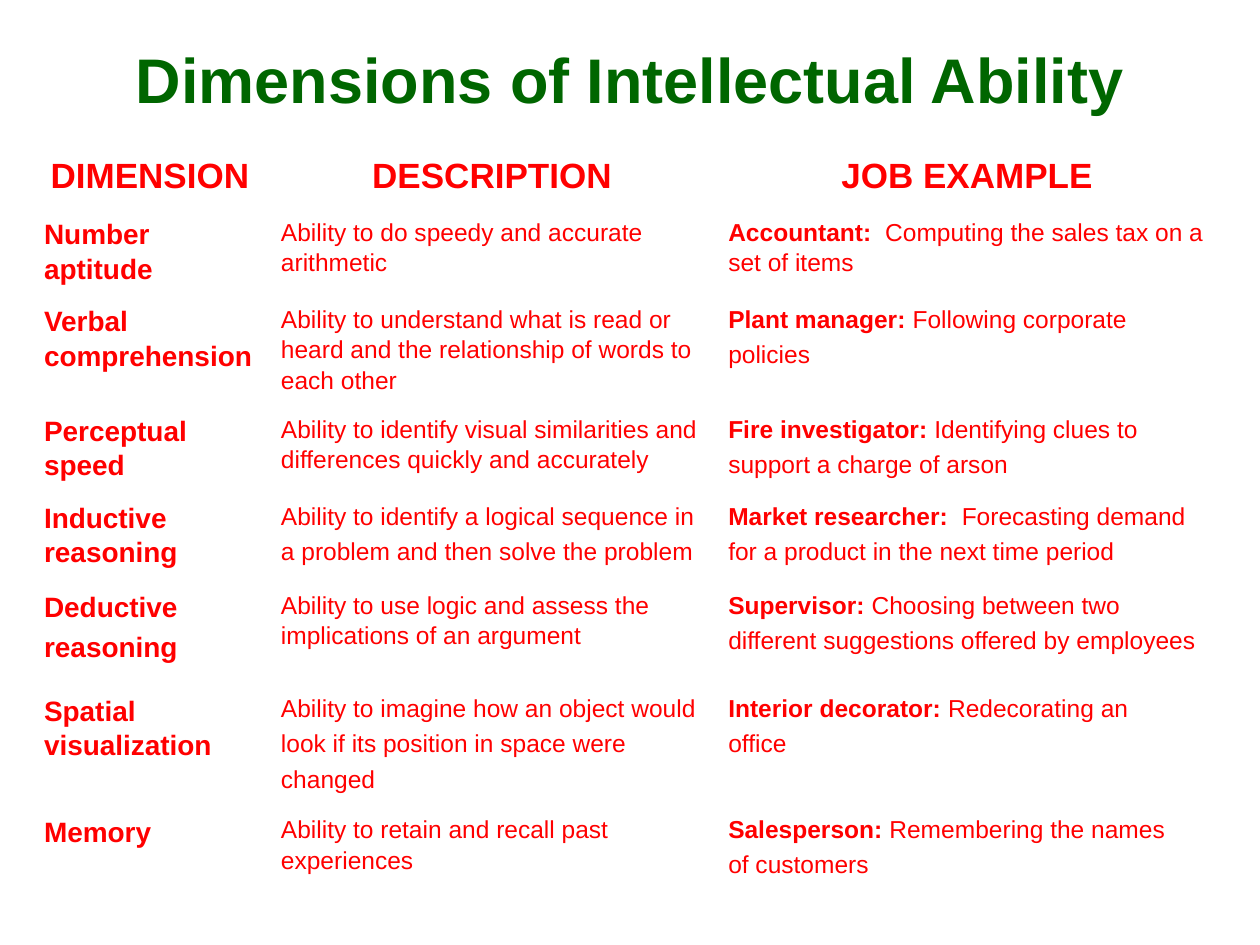
from dataclasses import dataclass
from lxml.etree import SubElement
from pptx import Presentation
from pptx.dml.color import RGBColor
from pptx.enum.shapes import MSO_CONNECTOR
from pptx.enum.text import MSO_ANCHOR, PP_ALIGN
from pptx.oxml.ns import qn
from pptx.slide import Slide
from pptx.util import Inches, Pt

HEADINGS = ["DIMENSION", "DESCRIPTION", "JOB EXAMPLE"]
ABILITIES = [
    ("Number aptitude",
     "Ability to do speedy and accurate arithmetic",
     "Accountant:  Computing the sales tax on a set of items"),
    ("Verbal comprehension",
     "Ability to understand what is read or heard and the relationship of words to each other",
     "Plant manager: Following corporate\npolicies"),
    ("Perceptual speed",
     "Ability to identify visual similarities and differences quickly and accurately",
     "Fire investigator: Identifying clues to\nsupport a charge of arson"),
    ("Inductive reasoning",
     "Ability to identify a logical sequence in\na problem and then solve the problem",
     "Market researcher:  Forecasting demand\nfor a product in the next time period"),
    ("Deductive\nreasoning",
     "Ability to use logic and assess the implications of an argument",
     "Supervisor: Choosing between two\ndifferent suggestions offered by employees"),
    ("Spatial visualization",
     "Ability to imagine how an object would\nlook if its position in space were\nchanged",
     "Interior decorator: Redecorating an\noffice"),
    ("Memory",
     "Ability to retain and recall past experiences",
     "Salesperson: Remembering the names\nof customers"),
]
COLUMN_WIDTHS = [1.88, 3.55, 3.99]
ROW_HEIGHTS = [0.51, 0.69, 0.87, 0.69, 0.71, 0.82, 0.96, 0.76]


def color(value):
    return RGBColor.from_string(value)


@dataclass
class AbilitySlide:
    """Holds the style and the slide that the elements go on."""
    slide: Slide
    font: str = "Arial"
    title_color: str = "006600"
    text_color: str = "FF0000"
    border_color: str = "FFFFFF"
    inner_border: float = 1
    outer_border: float = 2.25

    def format_run(self, run, size, bold, value):
        run.font.name = self.font
        run.font.size = Pt(size)
        run.font.bold = bold
        run.font.color.rgb = color(value)

    def title(self, text, left, top, width, height):
        shape = self.slide.shapes.title
        shape.left, shape.top = Inches(left), Inches(top)
        shape.width, shape.height = Inches(width), Inches(height)
        frame = shape.text_frame
        frame.text = text
        frame.vertical_anchor = MSO_ANCHOR.MIDDLE
        paragraph = frame.paragraphs[0]
        paragraph.alignment = PP_ALIGN.CENTER
        self.format_run(paragraph.runs[0], 36, True, self.title_color)

    def rule(self, start_x, start_y, end_x, end_y):
        connector = self.slide.shapes.add_connector(
            MSO_CONNECTOR.STRAIGHT, Inches(start_x), Inches(start_y),
            Inches(end_x), Inches(end_y))
        connector.line.color.rgb = color(self.border_color)
        connector.line.width = Pt(self.inner_border)
        properties = connector._element.spPr
        for end in ("a:headEnd", "a:tailEnd"):
            SubElement(properties.find(qn("a:ln")), qn(end), type="oval")
        SubElement(properties, qn("a:effectLst"))

    def borders(self, cell, outer_sides):
        properties = cell._tc.get_or_add_tcPr()
        for side in "LRTB":
            width = self.outer_border if side in outer_sides else self.inner_border
            line = SubElement(properties, qn(f"a:ln{side}"), w=str(Pt(width)))
            fill = SubElement(line, qn("a:solidFill"))
            SubElement(fill, qn("a:srgbClr"), val=self.border_color)

    def cell(self, cell, text, size, bold, alignment, outer_sides):
        self.borders(cell, outer_sides)
        cell.fill.background()
        cell.text_frame.text = text
        for index, paragraph in enumerate(cell.text_frame.paragraphs):
            paragraph.alignment = alignment
            paragraph.line_spacing = 1.1
            if index:
                paragraph.space_before = Pt(size * 0.2)
            label, colon, rest = paragraph.text.partition(":")
            if colon:
                paragraph.text = label + colon
                paragraph.add_run().text = rest
            for position, run in enumerate(paragraph.runs):
                is_label = bool(colon) and position == 0
                self.format_run(run, size, bold or is_label, self.text_color)

    def table(self, rows, left, top):
        frame = self.slide.shapes.add_table(
            len(rows), len(COLUMN_WIDTHS), Inches(left), Inches(top),
            Inches(sum(COLUMN_WIDTHS)), Inches(sum(ROW_HEIGHTS)))
        table = frame.table
        table.first_row = table.horz_banding = False
        for column, width in zip(table.columns, COLUMN_WIDTHS):
            column.width = Inches(width)
        for row, height in zip(table.rows, ROW_HEIGHTS):
            row.height = Inches(height)
        last_row, last_column = len(rows) - 1, len(COLUMN_WIDTHS) - 1
        for row, texts in enumerate(rows):
            for column, text in enumerate(texts):
                heading = row == 0
                size = 20 if heading else 16 if column == 0 else 14
                edges = {"L": column == 0, "R": column == last_column,
                         "T": heading, "B": row == last_row}
                self.cell(table.cell(row, column), text, size, heading or column == 0,
                          PP_ALIGN.CENTER if heading else PP_ALIGN.LEFT,
                          [side for side, outer in edges.items() if outer])


def main():
    presentation = Presentation()
    presentation.slide_width, presentation.slide_height = Inches(10), Inches(7.5)
    page = AbilitySlide(presentation.slides.add_slide(presentation.slide_layouts[5]))
    page.rule(0, 1.08, 10, 1.09)
    page.title("Dimensions of Intellectual Ability", 0.75, 0.33, 8.5, 0.58)
    page.table([HEADINGS, *ABILITIES], 0.25, 1.16)
    presentation.save("out.pptx")


if __name__ == "__main__":
    main()
